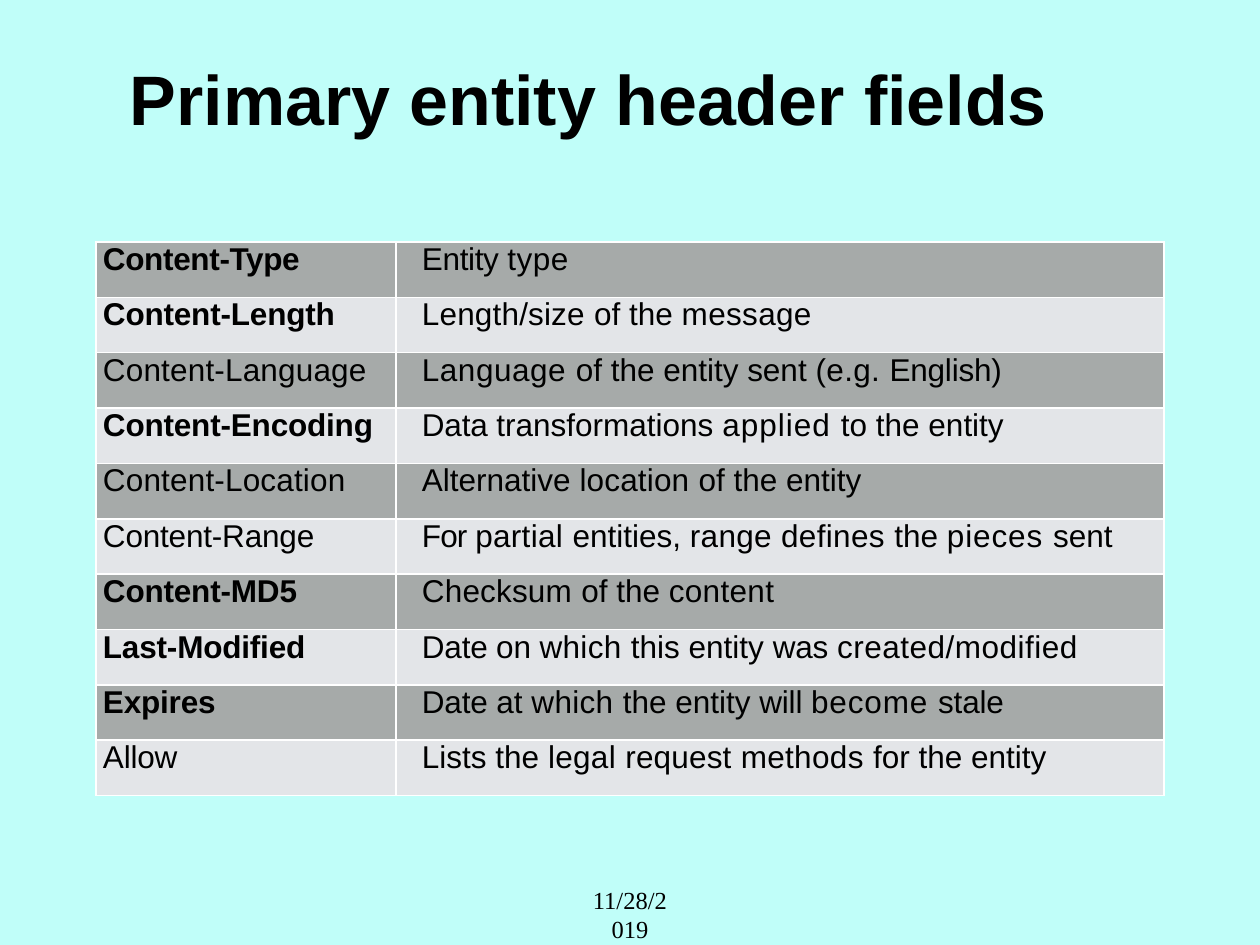
"""Build a slide that lists the primary entity header fields in a table."""
from pptx import Presentation
from pptx import util as u
from pptx.dml.color import RGBColor
from pptx.enum import text

TITLE = "Primary entity header fields"
DATE = "11/28/2019"

# Each field: name, bold, letter spacing of the name, description as (words, letter spacing).
FIELDS = [
    ("Content-Type", True, -0.2, [("Entity ", -0.2), ("type", 0.3)]),
    ("Content-Length", True, -0.1, [("Length/size ", 0.1), ("of the ", 0), ("message", 0.2)]),
    ("Content-Language", False, 0.1,
     [("Language ", 0.3), ("of the entity sent ", 0), ("(e.g. ", 0.2), ("English)", -0.1)]),
    ("Content-Encoding", True, -0.1,
     [("Data ", -0.1), ("transformations ", 0), ("applied ", 0.6), ("to the entity", 0)]),
    ("Content-Location", False, 0.1,
     [("Alternative ", 0), ("location ", 0.1), ("of the entity", 0)]),
    ("Content-Range", False, -0.1,
     [("For ", -0.5), ("partial ", 0.2), ("entities, ", 0), ("range defines ", 0.2),
      ("the ", 0), ("pieces ", 0.5), ("sent", 0)]),
    ("Content-MD5", True, -0.1, [("Checksum ", 0.1), ("of the ", 0), ("content", 0.2)]),
    ("Last-Modified", True, -0.1,
     [("Date on ", -0.1), ("which ", 0.2), ("this entity ", 0), ("was ", -0.1),
      ("created/modified", 0.3)]),
    ("Expires", True, -0.1,
     [("Date ", -0.1), ("at ", 0), ("which ", 0.2), ("the entity ", 0), ("will ", -0.1),
      ("become ", 0.5), ("stale", -0.1)]),
    ("Allow", False, -0.1,
     [("Lists the ", 0), ("legal ", 0.2), ("request ", 0.1), ("methods ", 0.2),
      ("for the entity", 0)]),
]

BACKGROUND = RGBColor(0xC0, 0xFE, 0xF9)
BANDS = [RGBColor(0xA6, 0xAA, 0xA9), RGBColor(0xE3, 0xE5, 0xE8)]
BLACK = RGBColor(0, 0, 0)
SCALE = 914400 / 126
TABLE_LEFT, TABLE_TOP, TABLE_HEIGHT = 96, 242, 554
COLUMN_WIDTHS = [300, 768]
COLUMN_INDENTS = [7, 26]


def px(length):
    return u.Emu(round(length * SCALE))


def format_font(font, name, size, bold=False):
    font.name, font.size, font.bold = name, u.Pt(size), bold
    font.color.rgb = BLACK


def fill_cell(cell, runs, bold, indent, color):
    cell.fill.solid()
    cell.fill.fore_color.rgb = color
    cell.margin_left = px(indent)
    cell.margin_right = cell.margin_top = cell.margin_bottom = 0
    for words, spacing in runs:
        run = cell.text_frame.paragraphs[0].add_run()
        run.text = words
        format_font(run.font, "Arial", 18, bold)
        run._r.get_or_add_rPr().set("spc", str(round(spacing * 100)))


def add_title(slide):
    title = slide.shapes.title
    title.left, title.top, title.width, title.height = map(px, (43, 55, 1091, 84))
    frame = title.text_frame
    frame.text = TITLE
    frame.margin_left = frame.margin_right = frame.margin_top = frame.margin_bottom = 0
    frame.vertical_anchor = text.MSO_ANCHOR.MIDDLE
    frame.paragraphs[0].alignment = text.PP_ALIGN.CENTER
    format_font(frame.paragraphs[0].runs[0].font, "Arial", 40, True)


def add_fields(slide):
    table = slide.shapes.add_table(
        len(FIELDS), len(COLUMN_WIDTHS), px(TABLE_LEFT), px(TABLE_TOP),
        px(sum(COLUMN_WIDTHS)), px(TABLE_HEIGHT)).table
    table.first_row = table.horz_banding = False
    for column, width in zip(table.columns, COLUMN_WIDTHS):
        column.width = px(width)
    for index, (name, bold, spacing, description) in enumerate(FIELDS):
        table.rows[index].height = px(TABLE_HEIGHT / len(FIELDS))
        contents = [([(name, spacing)], bold), (description, False)]
        for column, (runs, is_bold) in enumerate(contents):
            fill_cell(table.cell(index, column), runs, is_bold,
                      COLUMN_INDENTS[column], BANDS[index % 2])


def add_date(slide):
    frame = slide.shapes.add_textbox(*map(px, (580, 893, 100, 42))).text_frame
    frame.text = DATE
    frame.word_wrap = True
    frame.vertical_anchor = text.MSO_ANCHOR.MIDDLE
    frame.paragraphs[0].alignment = text.PP_ALIGN.CENTER
    format_font(frame.paragraphs[0].runs[0].font, "Times New Roman", 14)


def main():
    presentation = Presentation()
    presentation.slide_width, presentation.slide_height = px(1260), px(945)
    slide = presentation.slides.add_slide(presentation.slide_layouts[5])
    slide.background.fill.solid()
    slide.background.fill.fore_color.rgb = BACKGROUND
    add_date(slide)
    add_title(slide)
    add_fields(slide)
    presentation.save("out.pptx")


if __name__ == "__main__":
    main()
